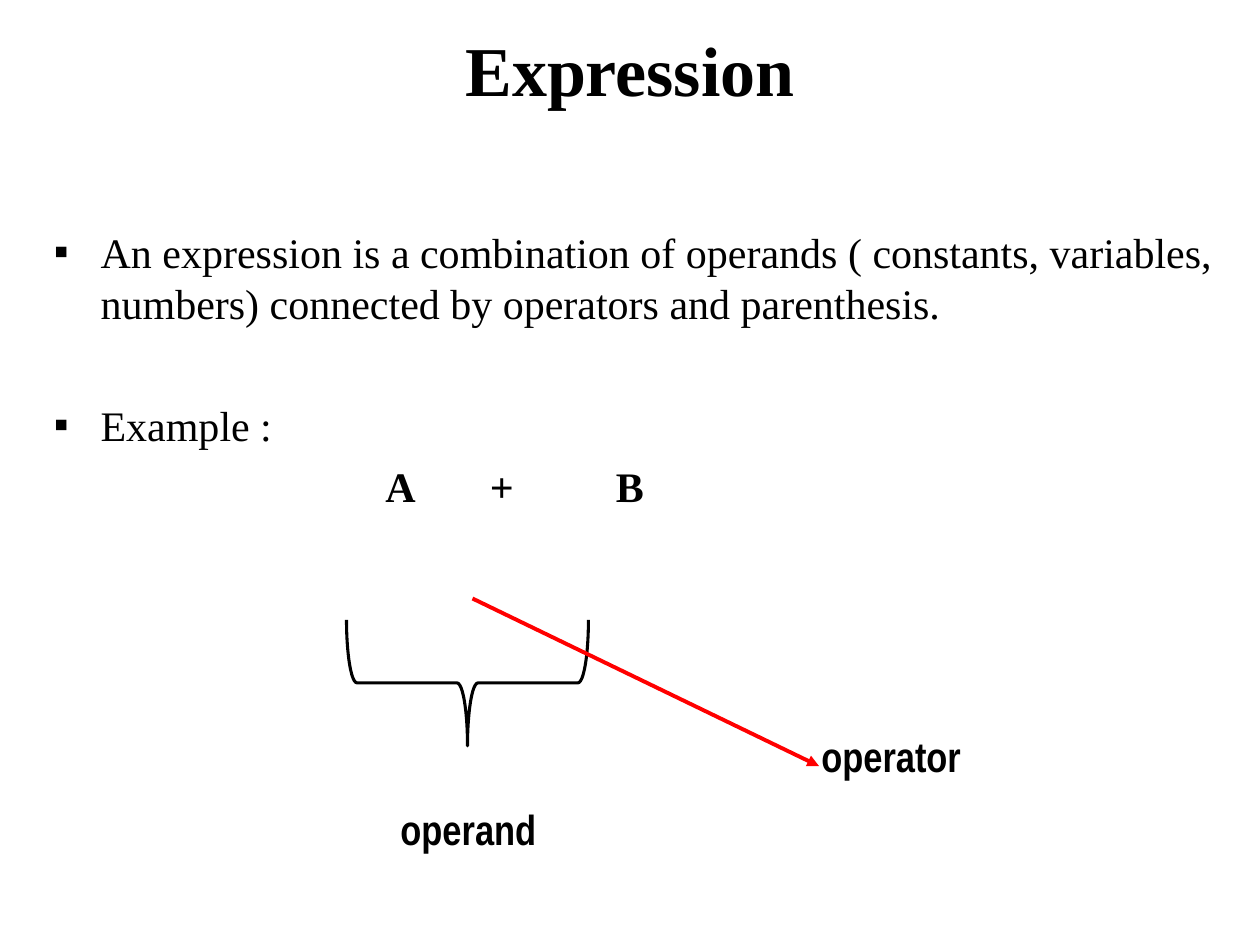
from dataclasses import dataclass

from lxml.etree import SubElement
from pptx import Presentation
from pptx.dml.color import RGBColor
from pptx.enum.shapes import MSO_CONNECTOR, MSO_SHAPE
from pptx.enum.text import MSO_ANCHOR, PP_ALIGN
from pptx.oxml.ns import qn
from pptx.util import Inches, Pt


@dataclass(frozen=True)
class Theme:
    ink: RGBColor = RGBColor(0x00, 0x00, 0x00)
    accent: RGBColor = RGBColor(0xFF, 0x00, 0x00)
    serif: str = "Times New Roman"
    narrow: str = "Arial Narrow"
    title_size: int = 40
    body_size: int = 24
    brace_width: float = 1.75
    arrow_width: float = 2.25


class SlideBuilder:
    def __init__(self, slide, theme):
        self.slide = slide
        self.theme = theme

    def text_box(self, left, top, width, height):
        box = self.slide.shapes.add_textbox(
            Inches(left), Inches(top), Inches(width), Inches(height))
        frame = box.text_frame
        frame.word_wrap = True
        return frame

    def run(self, paragraph, text, font, size, bold=False):
        run = paragraph.add_run()
        run.text = text
        run.font.name = font
        run.font.size = Pt(size)
        run.font.bold = bold
        run.font.color.rgb = self.theme.ink

    def title(self, text):
        frame = self.text_box(0.25, 0, 9.5, 1.08)
        frame.vertical_anchor = MSO_ANCHOR.MIDDLE
        heading = frame.paragraphs[0]
        heading.alignment = PP_ALIGN.CENTER
        self.run(heading, text, self.theme.serif, self.theme.title_size, bold=True)

    def bullet(self, paragraph, text):
        properties = paragraph._p.get_or_add_pPr()
        properties.set("marL", str(Inches(0.37)))
        properties.set("indent", str(-Inches(0.37)))
        color = SubElement(properties, qn("a:buClr"))
        SubElement(color, qn("a:srgbClr"), val=str(self.theme.ink))
        SubElement(properties, qn("a:buFont"), typeface=self.theme.serif)
        SubElement(properties, qn("a:buChar"), char="▪")
        self.run(paragraph, text, self.theme.serif, self.theme.body_size)

    def formula(self, paragraph, terms):
        """Set each (symbol, position) term at its own tab stop."""
        properties = paragraph._p.get_or_add_pPr()
        stops = SubElement(properties, qn("a:tabLst"))
        for symbol, position in terms:
            SubElement(stops, qn("a:tab"), pos=str(Inches(position)), algn="l")
            self.run(paragraph, "\t" + symbol, self.theme.serif,
                     self.theme.body_size, bold=True)

    def label(self, text, left, top, width):
        frame = self.text_box(left, top, width, 0.5)
        self.run(frame.paragraphs[0], text, self.theme.narrow,
                 self.theme.body_size, bold=True)

    def brace(self, left, top, width, height):
        """Draw a brace that opens upward; the size is that before rotation."""
        brace = self.slide.shapes.add_shape(
            MSO_SHAPE.RIGHT_BRACE,
            Inches(left), Inches(top), Inches(width), Inches(height))
        brace.rotation = 90
        brace.shadow.inherit = False
        brace.fill.background()
        brace.line.color.rgb = self.theme.ink
        brace.line.width = Pt(self.theme.brace_width)

    def arrow(self, start, end):
        arrow = self.slide.shapes.add_connector(
            MSO_CONNECTOR.STRAIGHT, *map(Inches, start + end))
        arrow.line.color.rgb = self.theme.accent
        arrow.line.width = Pt(self.theme.arrow_width)
        SubElement(arrow.line._get_or_add_ln(), qn("a:tailEnd"), type="triangle")
        SubElement(arrow._element.spPr, qn("a:effectLst"))


def main():
    presentation = Presentation()
    presentation.slide_width = Inches(10)
    presentation.slide_height = Inches(7.5)
    slide = presentation.slides.add_slide(presentation.slide_layouts[6])
    builder = SlideBuilder(slide, Theme())

    builder.title("Expression")

    body = builder.text_box(0.33, 1.75, 9.42, 2.91)
    definition = body.paragraphs[0]
    builder.bullet(definition, "An expression is a combination of operands ( constants, "
                   "variables, numbers) connected by operators and parenthesis.")
    example = body.add_paragraph()
    builder.bullet(example, "Example :")
    example.space_before = Pt(41)
    expression = body.add_paragraph()
    builder.formula(expression, [("A", 2.63), ("+", 3.46), ("B", 4.46)])
    expression.space_before = Pt(6)

    builder.brace(3.21, 4.46, 1, 1.92)
    builder.label("operand", 3.08, 6.33, 2.75)
    builder.arrow((3.75, 4.75), (6.5, 6.08))
    builder.label("operator", 6.42, 5.75, 2.25)

    presentation.save("out.pptx")


if __name__ == "__main__":
    main()
